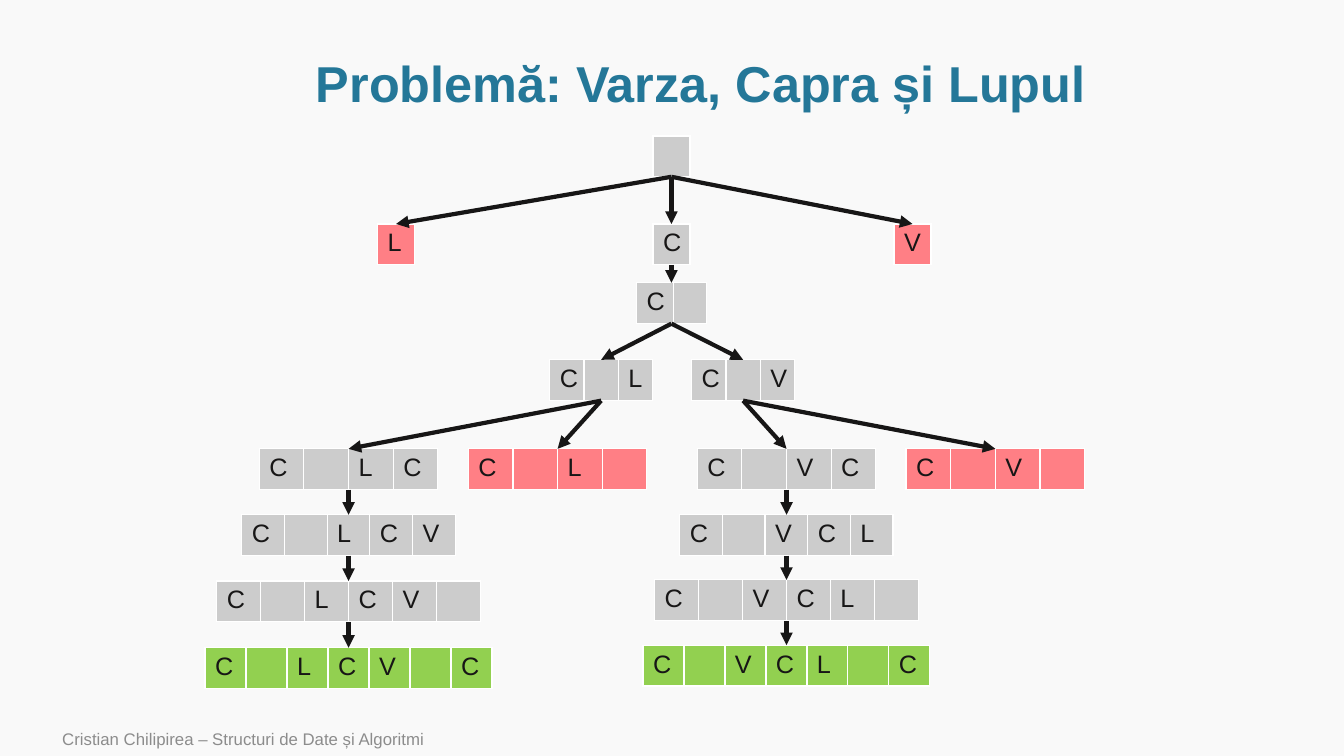
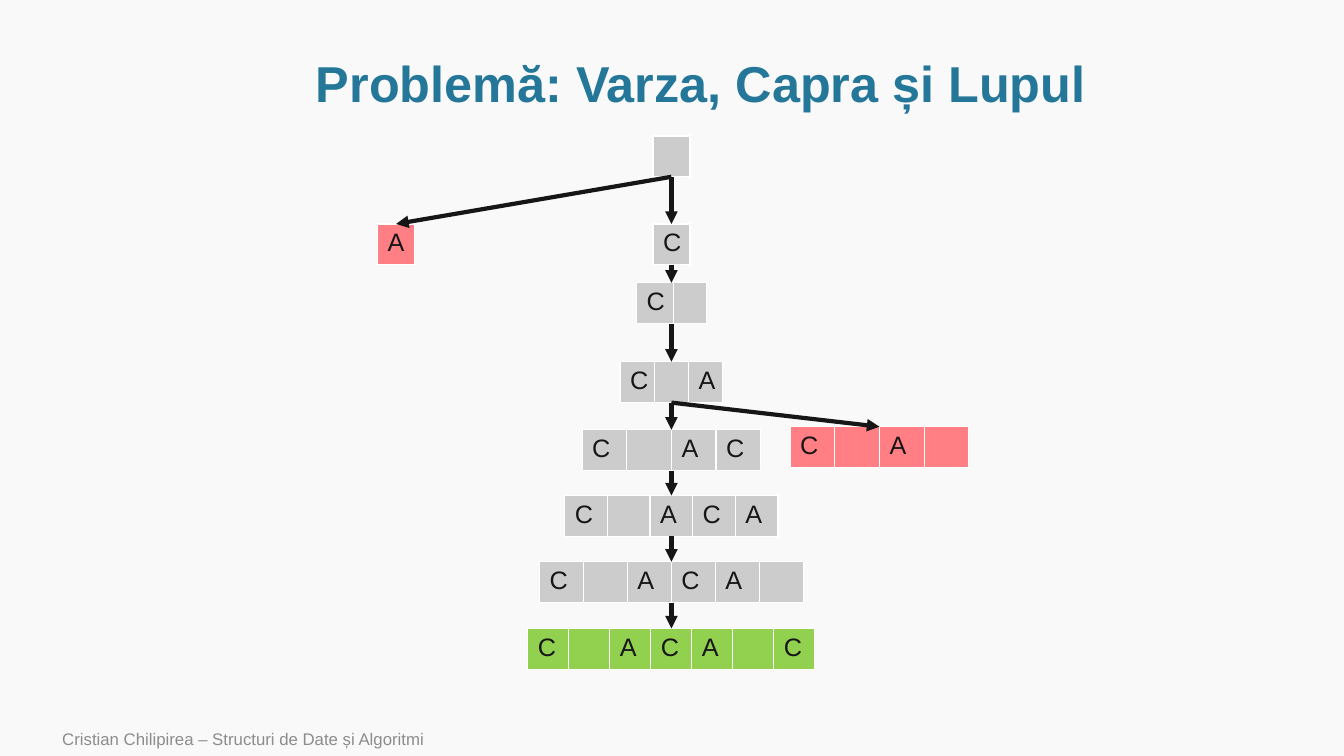
import pptx
import pptx.util
import pptx.dml.color
import pptx.enum.shapes
import pptx.enum.text
import pptx.oxml
import pptx.oxml.ns

Pt = pptx.util.Pt
RGBColor = pptx.dml.color.RGBColor
ALIGN = pptx.enum.text.PP_ALIGN
BACKGROUND = RGBColor(0xF9, 0xF9, 0xF9)
BLUE = RGBColor(0x24, 0x77, 0x98)
INK = RGBColor(0x17, 0x16, 0x16)
MUTED = RGBColor(0x8C, 0x8C, 0x8C)
GREY = RGBColor(0xCC, 0xCC, 0xCC)
RED = RGBColor(0xFF, 0x7F, 0x85)
GREEN = RGBColor(0x92, 0xD0, 0x50)
WHITE = RGBColor(0xFF, 0xFF, 0xFF)

FONT = "Arial"
TITLE = "Problemă: Varza, Capra și Lupul"
FOOTER = "Cristian Chilipirea – Structuri de Date și Algoritmi"
CENTER = 479.6
ROW_HEIGHT = 29.2
COLUMN_WIDTHS = {
    1: [26.4],
    2: [26.2, 23.7],
    3: [24.5] * 3,
    4: [31.9] * 4,
    5: [30.5] * 5,
    6: [31.4] * 6,
    7: [29.3] * 7,
}
SOLVED_LENGTH = 7


def write(tf, text, size=18, color=INK, bold=False, align=ALIGN.LEFT, spacing=1.0):
    p = tf.paragraphs[0]
    p.alignment = align
    p.line_spacing = spacing
    r = p.add_run()
    r.text = text
    r.font.name = FONT
    r.font.size = Pt(size)
    r.font.bold = bold
    r.font.color.rgb = color


def add_text(s, text, left, top, width, height, **style):
    sp = s.shapes.add_textbox(Pt(left), Pt(top), Pt(width), Pt(height))
    tf = sp.text_frame
    tf.word_wrap = True
    tf.vertical_anchor = pptx.enum.text.MSO_ANCHOR.MIDDLE
    write(tf, text, **style)


def add_border(cell):
    props = cell._tc.get_or_add_tcPr()
    for side in ("lnL", "lnR", "lnT", "lnB"):
        props.append(pptx.oxml.parse_xml(
            f'<a:{side} {pptx.oxml.ns.nsdecls("a")} w="{Pt(1)}"><a:solidFill>'
            f'<a:srgbClr val="{WHITE}"/></a:solidFill></a:{side}>'))


def add_arrow(s, start, end):
    line = s.shapes.add_connector(
        pptx.enum.shapes.MSO_CONNECTOR.STRAIGHT, *(Pt(v) for v in start + end))
    line.line.color.rgb = INK
    line.line.width = Pt(3)
    ns = pptx.oxml.ns.nsdecls("a")
    line.line._get_or_add_ln().append(
        pptx.oxml.parse_xml(f'<a:tailEnd {ns} type="triangle"/>'))
    line._element.spPr.append(pptx.oxml.parse_xml(f"<a:effectLst {ns}/>"))


def add_state(s, letters, x, top, fill=GREY, parent=None):
    widths = COLUMN_WIDTHS[len(letters)]
    total = sum(widths)
    table = s.shapes.add_table(
        1, len(letters), Pt(x - total / 2), Pt(top), Pt(total), Pt(ROW_HEIGHT)).table
    table.first_row = False
    table.horz_banding = False
    for i, (letter, width) in enumerate(zip(letters, widths)):
        table.columns[i].width = Pt(width)
        cell = table.cell(0, i)
        add_border(cell)
        cell.fill.solid()
        cell.fill.fore_color.rgb = fill
        if letter != " ":
            write(cell.text_frame, letter)
    if parent:
        add_arrow(s, parent, (x, top))
    return x, top + ROW_HEIGHT


def add_chain(s, moves, x, tops, parent):
    first = len(moves) - len(tops) + 1
    for length, top in enumerate(tops, first):
        fill = GREEN if length == SOLVED_LENGTH else GREY
        parent = add_state(s, moves[:length], x, top, fill, parent)
    return parent


def add_tree_slide(prs, wrong_starts):
    s = prs.slides.add_slide(prs.slide_layouts[6])
    s.background.fill.solid()
    s.background.fill.fore_color.rgb = BACKGROUND
    add_text(s, TITLE, 82, 36.7, 837.4, 49.7, size=36, color=BLUE, bold=True,
             align=ALIGN.CENTER, spacing=0.9)
    add_text(s, FOOTER, 37.4, 515.5, 604.8, 24.5, size=12, color=MUTED)
    root = add_state(s, " ", CENTER, 97.1)
    for letter, x in wrong_starts:
        add_state(s, letter, x, 160, RED, root)
    return s, add_chain(s, "C ", CENTER, [160, 202], root)


def main():
    prs = pptx.Presentation()
    prs.slide_width = Pt(960)
    prs.slide_height = Pt(540)

    s, goat_across = add_tree_slide(prs, [("L", 282.9), ("V", 651.8)])
    branches = [
        ("C LCV C", 429.4, 249, 398.3, [320.6, 367.7, 415, 462.7]),
        ("C VCL C", 530.8, 561.8, 711, [320.6, 367.7, 414.2, 460.8]),
    ]
    for moves, x, good_x, wrong_x, tops in branches:
        fork = add_state(s, moves[:3], x, 257, parent=goat_across)
        add_chain(s, moves, good_x, tops, fork)
        add_state(s, moves[:3] + " ", wrong_x, tops[0], RED, fork)

    s, goat_across = add_tree_slide(prs, [("A", 282.9)])
    fork = add_state(s, "C A", CENTER, 258.4, parent=goat_across)
    add_chain(s, "C ACA C", CENTER, [307, 354, 401.3, 448.9], fork)
    add_state(s, "C A ", 628.2, 304.8, RED, fork)

    prs.save("out.pptx")


if __name__ == "__main__":
    main()
